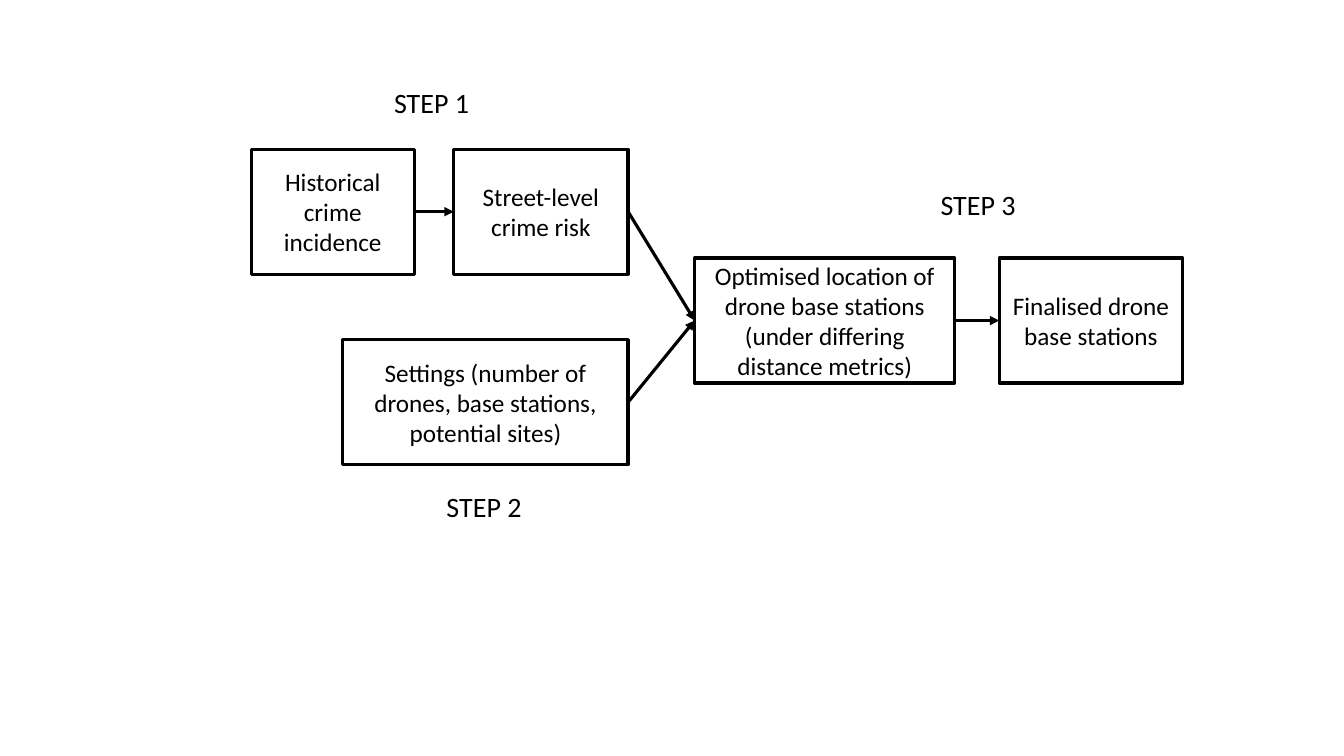
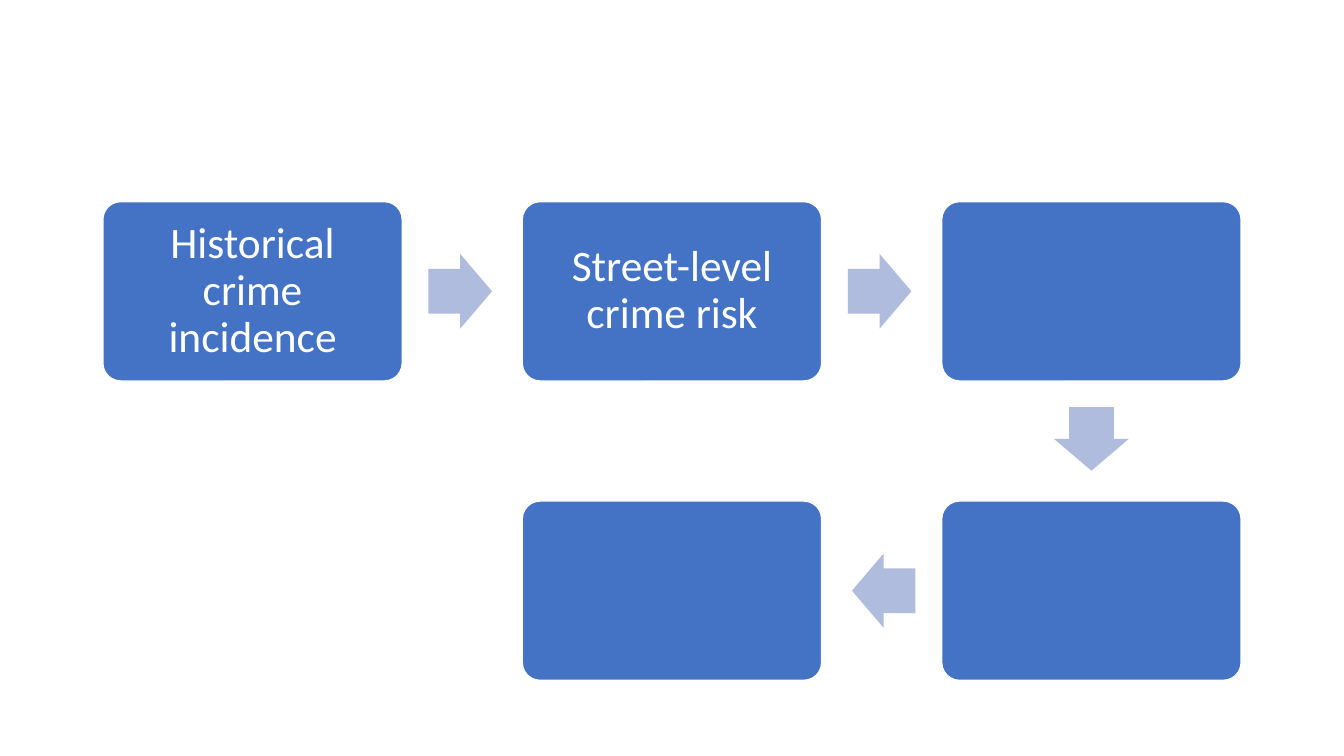
from lxml import etree
from pptx import Presentation
from pptx.dml.color import RGBColor
from pptx.enum.shapes import MSO_CONNECTOR, MSO_SHAPE
from pptx.enum.text import MSO_ANCHOR, PP_ALIGN
from pptx.oxml.ns import qn
from pptx.util import Inches, Pt

RECT, ROUNDED, ARROW = MSO_SHAPE.RECTANGLE, MSO_SHAPE.ROUNDED_RECTANGLE, MSO_SHAPE.RIGHT_ARROW
STRAIGHT = MSO_CONNECTOR.STRAIGHT
MIDDLE, TOP = MSO_ANCHOR.MIDDLE, MSO_ANCHOR.TOP
CENTER, LEFT = PP_ALIGN.CENTER, PP_ALIGN.LEFT

BLACK = RGBColor(0x00, 0x00, 0x00)
WHITE = RGBColor(0xFF, 0xFF, 0xFF)
BLUE = RGBColor(0x44, 0x72, 0xC4)
PALE_BLUE = RGBColor(0xB0, 0xBC, 0xDE)
FONT = "Calibri"
OUTLINE = 2.25
LEFT_SITE, RIGHT_SITE = 1, 3

HISTORY = "Historical crime incidence"
RISK = "Street-level crime risk"

# Boxes are (left, top, width, height) in inches, relative to their diagram.
STAGE_HEIGHT = 1.24
STAGES = {
    "history": (0, 0.68, 1.62, [HISTORY]),
    "risk": (2.01, 0.68, 1.73, [RISK]),
    "settings": (0.91, 2.57, 2.83, ["Settings (number of drones, base stations, potential sites)"]),
    "optimised": (4.4, 1.76, 2.58, ["Optimised location of drone base stations",
                                   "(under differing distance metrics)"]),
    "finalised": (7.42, 1.76, 1.82, ["Finalised drone base stations"]),
}
LINKS = [("history", "risk"), ("risk", "optimised"),
         ("settings", "optimised"), ("optimised", "finalised")]
STEPS = [("STEP 1", 1.32, 0), ("STEP 2", 1.84, 4.01), ("STEP 3", 6.74, 1.01)]

CARD_WIDTH, CARD_HEIGHT = 2.97, 1.78
# Each card: column, row, text, in the order of the process.
CARDS = [(0, 0, HISTORY), (1, 0, RISK), (2, 0, ""), (2, 1, ""), (1, 1, "")]
ARROW_WIDTH, ARROW_HEIGHT, ARROW_SETBACK = 0.63, 0.74, 0.02


def set_all(target, formats):
    """Set each attribute of target from a dict of format values."""
    for attribute, value in formats.items():
        setattr(target, attribute, value)


def write(frame, lines, size, color, align=CENTER, anchor=MIDDLE, spacing=1.0):
    """Write one paragraph per line into a text frame."""
    set_all(frame, {"word_wrap": True, "vertical_anchor": anchor, "text": "\n".join(lines)})
    for paragraph in frame.paragraphs:
        set_all(paragraph, {"alignment": align, "line_spacing": spacing})
        set_all(paragraph.font, {"name": FONT, "size": Pt(size)})
        paragraph.font.color.rgb = color


def add_block(slide, preset, box, fill=None, line=None, weight=1):
    """Add a preset shape with an optional fill and outline."""
    block = slide.shapes.add_shape(preset, *map(Inches, box))
    block.shadow.inherit = False
    if fill is None:
        block.fill.background()
    else:
        block.fill.solid()
        block.fill.fore_color.rgb = fill
    if line is None:
        block.line.fill.background()
    else:
        block.line.color.rgb = line
        block.line.width = Pt(weight)
    return block


def add_link(slide, source, target):
    """Join the right side of source to the left side of target by an arrow."""
    link = slide.shapes.add_connector(STRAIGHT, 0, 0, 0, 0)
    link.begin_connect(source, RIGHT_SITE)
    link.end_connect(target, LEFT_SITE)
    link.line.color.rgb = BLACK
    link.line.width = Pt(OUTLINE)
    etree.SubElement(link.line._get_or_add_ln(), qn("a:tailEnd"), type="triangle")
    etree.SubElement(link._element.spPr, qn("a:effectLst"))


def add_step_diagram(slide, left, top):
    """Draw the outlined stages, their links and the step labels."""
    stages = {}
    for key, (x, y, width, lines) in STAGES.items():
        box = (left + x, top + y, width, STAGE_HEIGHT)
        stages[key] = add_block(slide, RECT, box, line=BLACK, weight=OUTLINE)
        write(stages[key].text_frame, lines, 18, BLACK)
    for source, target in LINKS:
        add_link(slide, stages[source], stages[target])
    for step, x, y in STEPS:
        label = slide.shapes.add_textbox(*map(Inches, (left + x, top + y, 1.05, 0.44)))
        write(label.text_frame, [step], 20, BLACK, LEFT, TOP)


def add_card(slide, box, text):
    """Draw one rounded card, with its text if there is any."""
    card = add_block(slide, ROUNDED, box, BLUE, WHITE)
    card.adjustments[0] = 0.1
    if text:
        margins = ("margin_left", "margin_right", "margin_top", "margin_bottom")
        set_all(card.text_frame, dict.fromkeys(margins, Inches(0.15)))
        write(card.text_frame, [text], 31, WHITE, spacing=0.9)


def add_flow_arrow(slide, start, end):
    """Draw a block arrow between the centres of two neighbouring cards."""
    across = (end[0] > start[0]) - (end[0] < start[0])
    down = (end[1] > start[1]) - (end[1] < start[1])
    x = (start[0] + end[0]) / 2 - across * ARROW_SETBACK
    y = (start[1] + end[1]) / 2 - down * ARROW_SETBACK
    box = (x - ARROW_WIDTH / 2, y - ARROW_HEIGHT / 2, ARROW_WIDTH, ARROW_HEIGHT)
    arrow = add_block(slide, ARROW, box, PALE_BLUE)
    arrow.adjustments[0], arrow.adjustments[1] = 0.6, 0.5
    arrow.rotation = {(1, 0): 0, (0, 1): 90, (-1, 0): 180}[across, down]


def add_card_flow(slide, left, top, width, height):
    """Draw a winding flow of cards on three columns and two rows."""
    column_step = (width - CARD_WIDTH) / 2
    row_step = height - CARD_HEIGHT
    centres = []
    for column, row, text in CARDS:
        x, y = left + column * column_step, top + row * row_step
        add_card(slide, (x, y, CARD_WIDTH, CARD_HEIGHT), text)
        centres.append((x + CARD_WIDTH / 2, y + CARD_HEIGHT / 2))
    for start, end in zip(centres, centres[1:]):
        add_flow_arrow(slide, start, end)


def main():
    """Build and save both slides."""
    deck = Presentation()
    set_all(deck, {"slide_width": Inches(13.33), "slide_height": Inches(7.5)})
    blank = deck.slide_layouts[6]
    add_step_diagram(deck.slides.add_slide(blank), 2.49, 0.8)
    add_card_flow(deck.slides.add_slide(blank), 1.02, 2, 11.29, 4.75)
    deck.save("out.pptx")


main()
